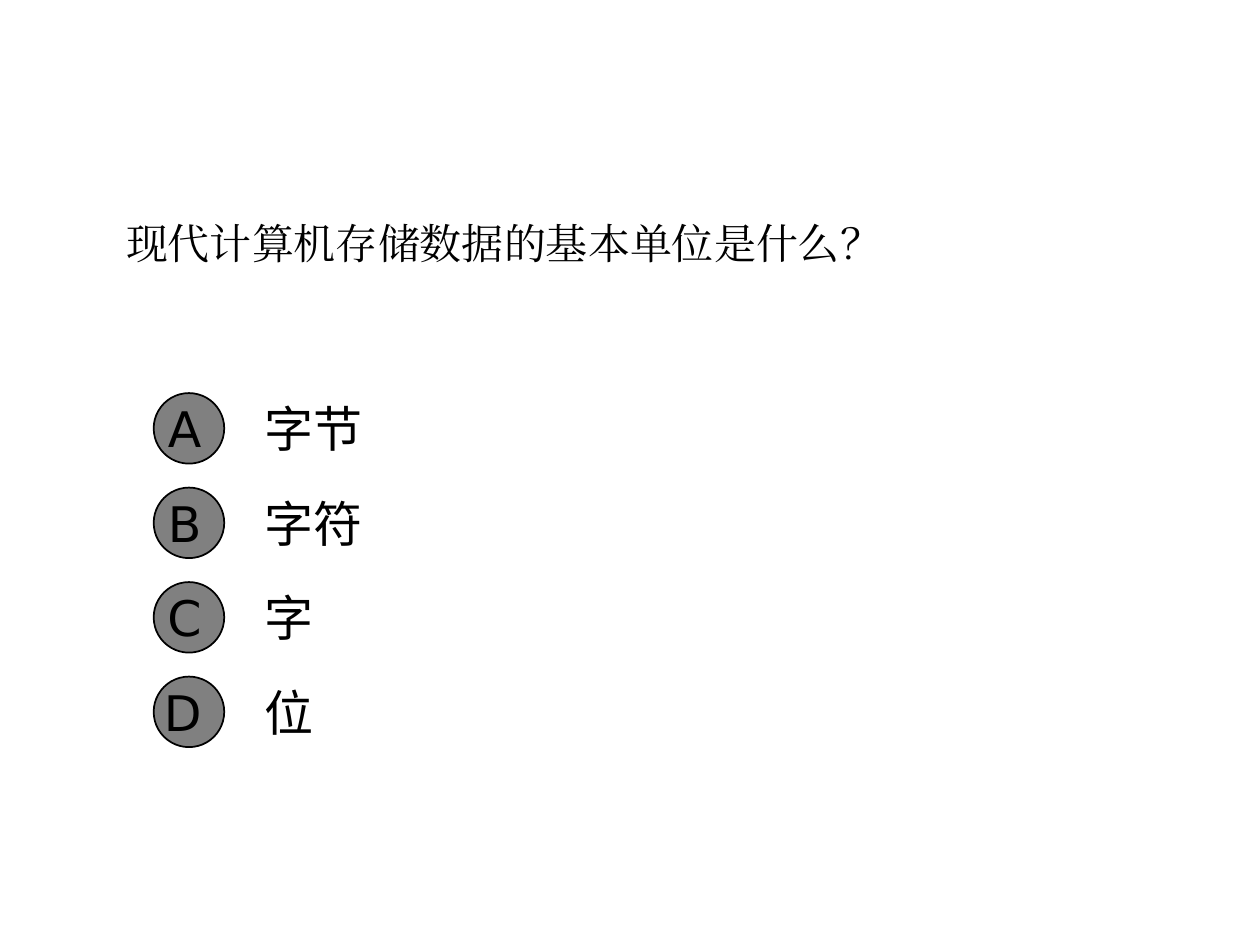
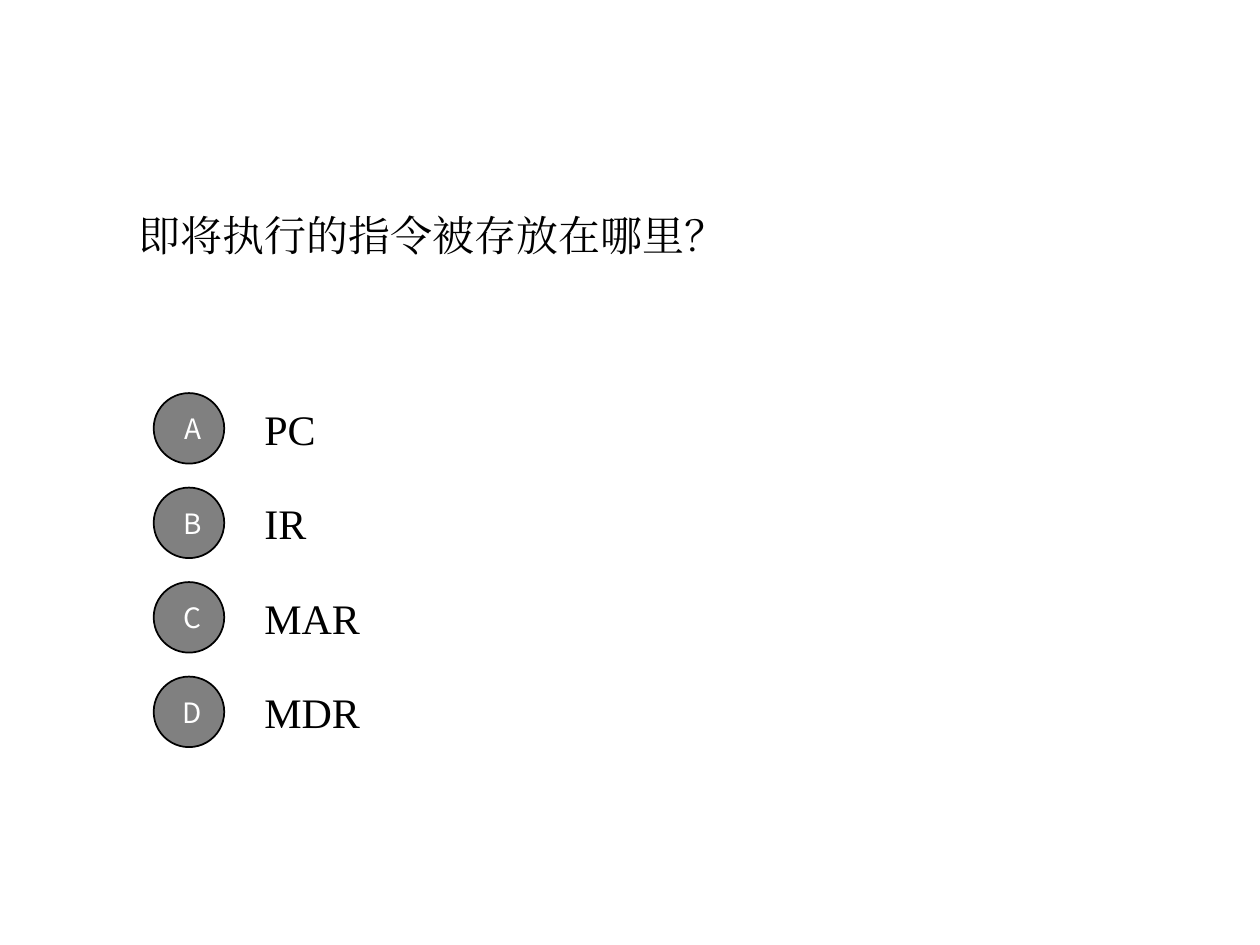
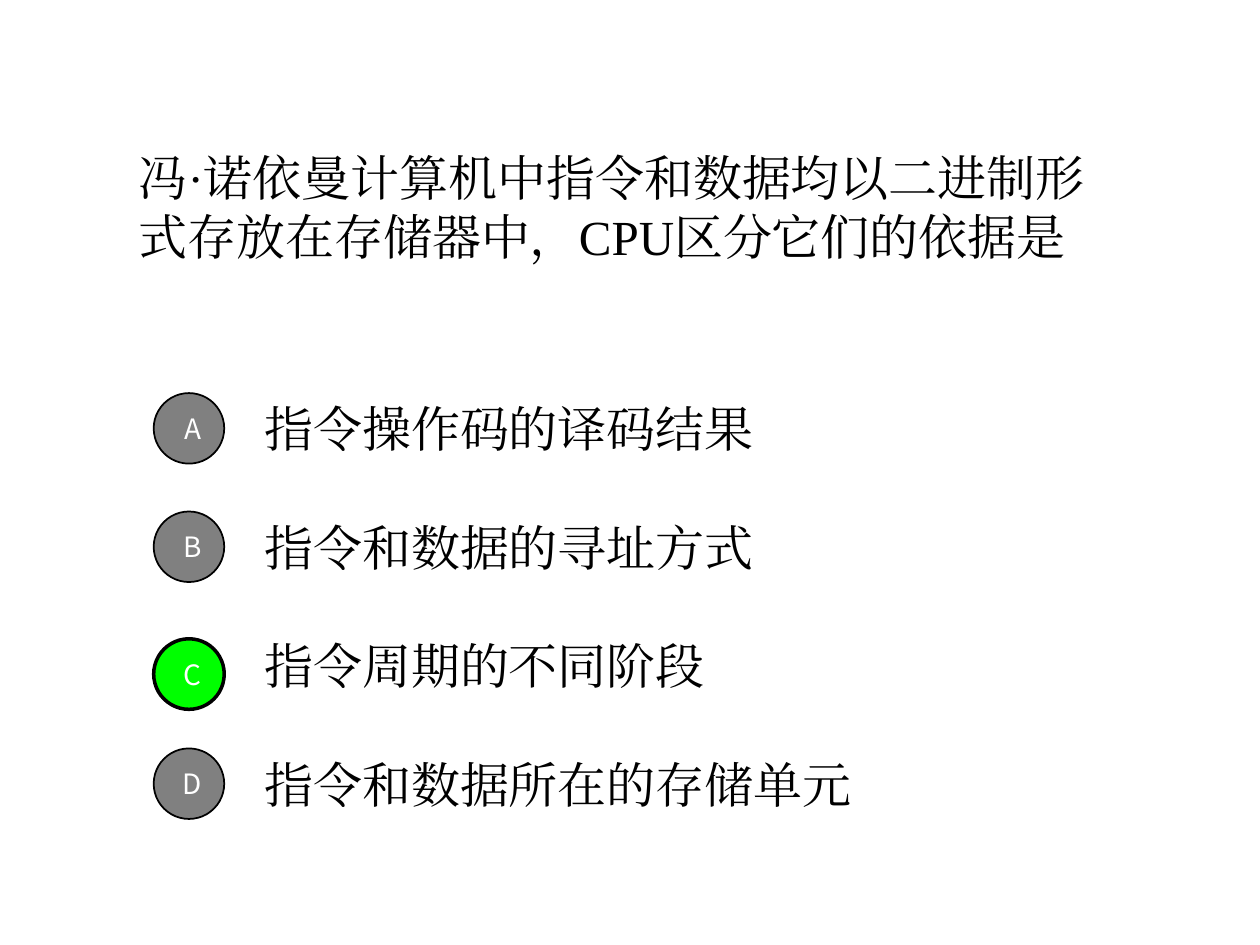
from lxml import etree
from pptx import Presentation
from pptx.dml.color import RGBColor
from pptx.enum.lang import MSO_LANGUAGE_ID
from pptx.enum.shapes import MSO_SHAPE
from pptx.enum.text import MSO_ANCHOR, MSO_AUTO_SIZE, PP_ALIGN
from pptx.oxml.ns import qn
from pptx.util import Inches, Pt

OVAL = MSO_SHAPE.OVAL
MIDDLE = MSO_ANCHOR.MIDDLE
NO_AUTOFIT = MSO_AUTO_SIZE.NONE
LEFT, RIGHT = PP_ALIGN.LEFT, PP_ALIGN.RIGHT
CHINESE = MSO_LANGUAGE_ID.SIMPLIFIED_CHINESE

COLORS = {"text": "000000", "light": "FFFFFF", "badge": "808080", "chosen": "00FF00"}
SERIF, SANS, CJK = "Times New Roman", "DejaVu Sans", "Noto Sans CJK SC"

TITLE_ONLY = 5
FIRST_OPTION_TOP = 3.05
OPTION_HEIGHT = 0.7
BADGE_SIZE = 0.56
BADGE_INSET = (OPTION_HEIGHT - BADGE_SIZE) / 2
CHOSEN_DROP = 0.07

QUESTIONS = [
    {
        "text": "现代计算机存储数据的基本单位是什么？",
        "place": (0.9, 0.76), "size": 24, "step": 0.75,
        "options": ["字节", "字符", "字", "位"], "chosen": None,
        "option_font": (SANS, 28), "badge_font": (SANS, 28, "text"),
    },
    {
        "text": "即将执行的指令被存放在哪里？",
        "place": (1, 0.69), "size": 24, "step": 0.75,
        "options": ["PC", "IR", "MAR", "MDR"], "chosen": None,
        "option_font": (SERIF, 24), "badge_font": (CJK, 16, "light"),
    },
    {
        "text": "冯·诺依曼计算机中指令和数据均以二进制形式存放在存储器中，CPU区分它们的依据是",
        "place": (1, 0.47), "size": 28, "step": 0.94,
        "options": ["指令操作码的译码结果", "指令和数据的寻址方式",
                    "指令周期的不同阶段", "指令和数据所在的存储单元"],
        "chosen": "C",
        "option_font": (SERIF, 28), "badge_font": (CJK, 16, "light"),
    },
]


def write_text(shape, text, font_name, size, color="text", align=LEFT, wrap=True):
    frame = shape.text_frame
    frame.text = text
    frame.word_wrap = wrap
    frame.auto_size = NO_AUTOFIT
    frame.vertical_anchor = MIDDLE
    paragraph = frame.paragraphs[0]
    paragraph.alignment = align
    font = paragraph.font
    font.size = Pt(size)
    font.name = font_name
    font.language_id = CHINESE
    font.color.rgb = RGBColor.from_string(COLORS[color])
    defaults = paragraph._p.get_or_add_pPr().get_or_add_defRPr()
    etree.SubElement(defaults, qn("a:ea"), typeface=font_name)


presentation = Presentation()
presentation.slide_width = Inches(10)
presentation.slide_height = Inches(7.5)

for question in QUESTIONS:
    slide = presentation.slides.add_slide(presentation.slide_layouts[TITLE_ONLY])
    title = slide.shapes.title
    title.left, title.top = [Inches(length) for length in question["place"]]
    title.width, title.height = Inches(8), Inches(2.34)
    write_text(title, question["text"], SERIF, question["size"])

    for index, (letter, option) in enumerate(zip("ABCD", question["options"])):
        top = FIRST_OPTION_TOP + index * question["step"]
        option_box = slide.shapes.add_textbox(
            Inches(2), Inches(top), Inches(7), Inches(OPTION_HEIGHT))
        write_text(option_box, option, *question["option_font"])

        chosen = letter == question["chosen"]
        badge_top = top + BADGE_INSET + (CHOSEN_DROP if chosen else 0)
        badge = slide.shapes.add_shape(
            OVAL, Inches(1.22), Inches(badge_top), Inches(BADGE_SIZE), Inches(BADGE_SIZE))
        badge.shadow.inherit = False
        badge.fill.solid()
        badge.fill.fore_color.rgb = RGBColor.from_string(
            COLORS["chosen" if chosen else "badge"])
        badge.line.color.rgb = RGBColor.from_string(COLORS["text"])
        badge.line.width = Pt(2 if chosen else 1)
        write_text(badge, letter, *question["badge_font"], align=RIGHT, wrap=False)

presentation.save("out.pptx")
